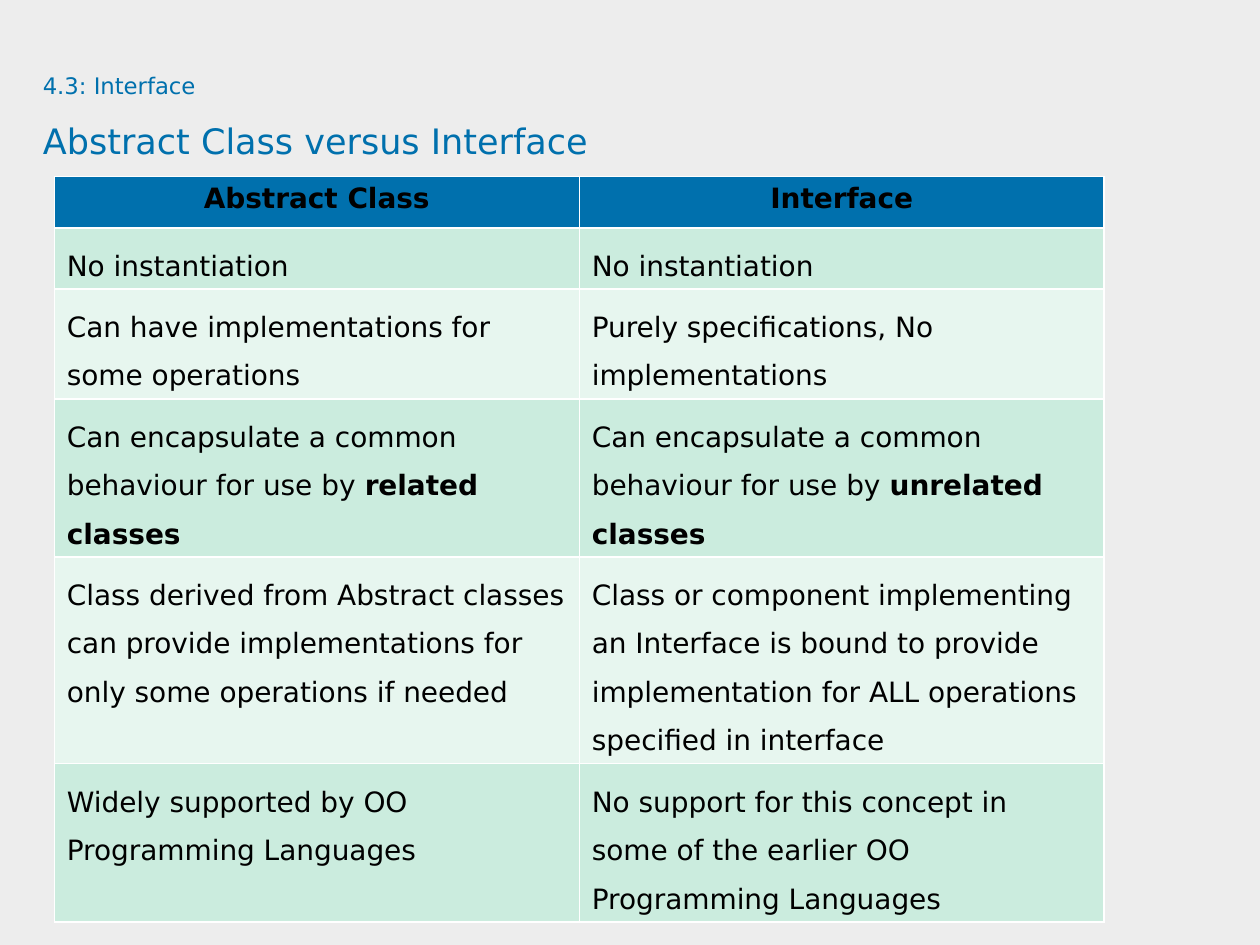
"""Build a slide comparing abstract classes with interfaces."""
from lxml import etree
from pptx import Presentation
from pptx.dml.color import RGBColor
from pptx.enum.text import MSO_ANCHOR, MSO_AUTO_SIZE, PP_ALIGN
from pptx.oxml.ns import qn
from pptx.util import Pt

TOP = MSO_ANCHOR.TOP
FIXED = MSO_AUTO_SIZE.NONE
LEFT, CENTER = PP_ALIGN.LEFT, PP_ALIGN.CENTER
FONT = "DejaVu Sans"
COLORS = {"back": "EDEDED", "blue": "0070AD", "ink": "000000",
          "band": "CBECDE", "pale": "E7F6EF"}


def write(par, text, size=16, color="ink", bold=False, align=LEFT, lines=1.5):
    par.alignment = align
    par.line_spacing = lines
    run = par.add_run()
    run.text = text
    run.font.name = FONT
    run.font.size = Pt(size)
    run.font.bold = bold
    run.font.color.rgb = RGBColor.from_string(COLORS[color])


def paint(fill, color):
    fill.solid()
    fill.fore_color.rgb = RGBColor.from_string(COLORS[color])


deck = Presentation()
deck.slide_width, deck.slide_height = Pt(720), Pt(540)
slide = deck.slides.add_slide(deck.slide_layouts[5])
paint(slide.background.fill, "back")

title = slide.shapes.title
title.left, title.top, title.width, title.height = Pt(24.5), Pt(33), Pt(654.5), Pt(67.5)
frame = title.text_frame
frame.margin_left = frame.margin_right = frame.margin_top = frame.margin_bottom = 0
frame.vertical_anchor = TOP
frame.auto_size = FIXED
frame.word_wrap = True
head = frame.paragraphs[0]
write(head, "4.3: Interface", size=13, color="blue")
head.add_line_break()
etree.SubElement(head._p.find(qn("a:br")), qn("a:rPr"), sz="1300")
write(head, "Abstract Class versus Interface", size=20, color="blue")

shared = "Can encapsulate a common behaviour for use by "
rows = [
    (["", "Abstract Class"], ["", "Interface"]),
    (["No instantiation"], ["No instantiation"]),
    (["Can have implementations for some operations"],
     ["Purely specifications, No implementations"]),
    ([shared, "related classes"], [shared, "unrelated classes"]),
    (["Class derived from Abstract classes can provide implementations "
      "for only some operations if needed"],
     ["Class or component implementing an Interface is bound to provide "
      "implementation for ALL operations specified in interface"]),
    (["Widely supported by OO Programming Languages"],
     ["No support for this concept in some of the earlier OO Programming Languages"]),
]
grid = slide.shapes.add_table(len(rows), 2, Pt(31), Pt(100.8), Pt(600), Pt(420.5))
table = grid.table
for r, row in enumerate(rows):
    table.rows[r].height = Pt(29.5)
    fill = "blue" if r == 0 else "band" if r % 2 else "pale"
    for c, parts in enumerate(row):
        cell = table.cell(r, c)
        paint(cell.fill, fill)
        par = cell.text_frame.paragraphs[0]
        for n, part in enumerate(parts):
            if part:
                write(par, part, bold=n == 1, align=LEFT if r else CENTER,
                      lines=1.5 if r else None)
        space = etree.Element(qn("a:spcBef"))
        etree.SubElement(space, qn("a:spcPct"), val="20000")
        par._p.get_or_add_pPr().insert(1 if r else 0, space)
grid.height = Pt(420.5)

deck.save("out.pptx")
